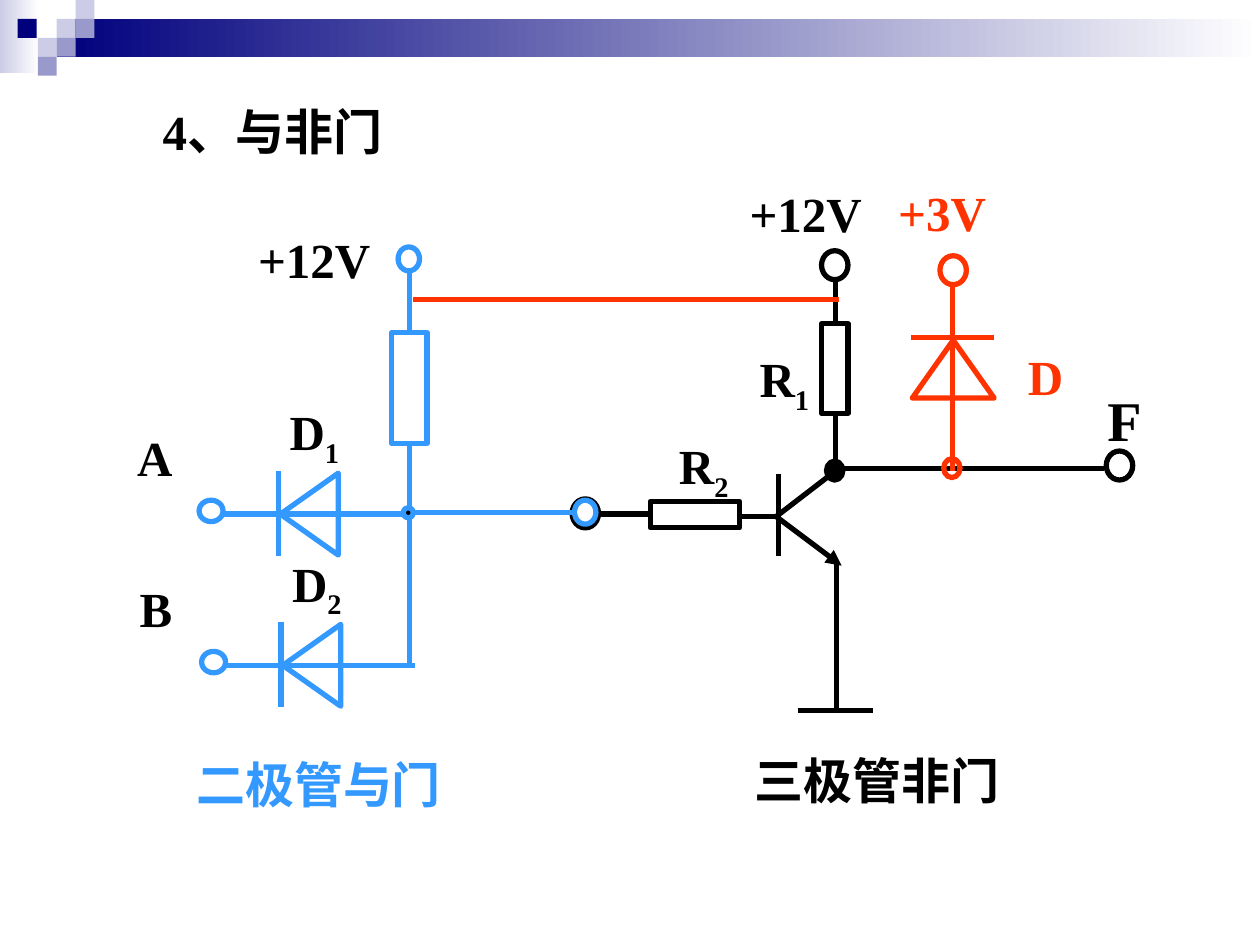
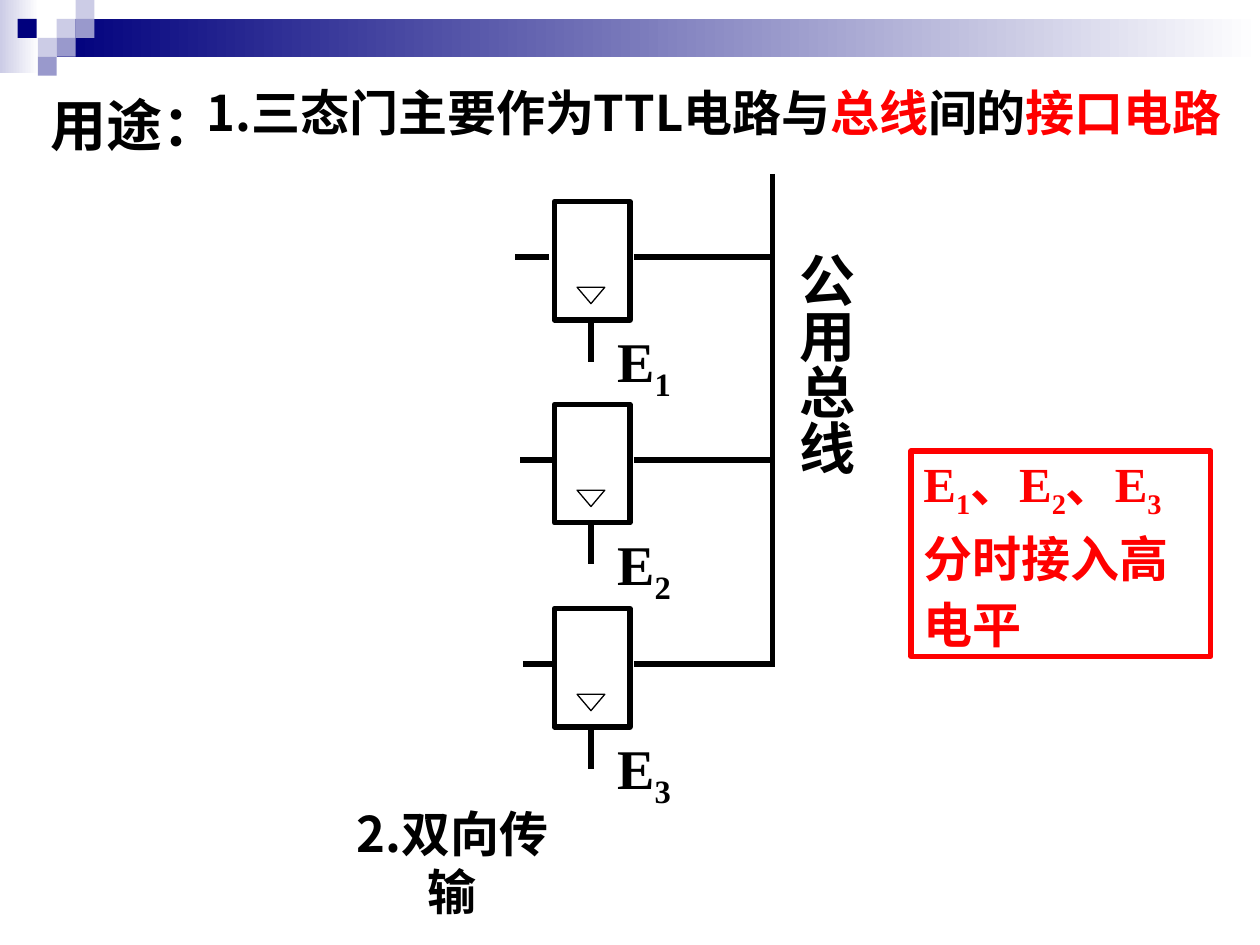
from lxml import etree
from pptx import Presentation
from pptx.dml.color import RGBColor
from pptx.enum.shapes import MSO_CONNECTOR, MSO_SHAPE
from pptx.enum.text import MSO_ANCHOR, MSO_AUTO_SIZE, PP_ALIGN
from pptx.oxml.ns import qn
from pptx.util import Inches, Pt

RECT, OVAL, TRIANGLE = MSO_SHAPE.RECTANGLE, MSO_SHAPE.OVAL, MSO_SHAPE.ISOSCELES_TRIANGLE
STRAIGHT = MSO_CONNECTOR.STRAIGHT
LEFT, CENTER = PP_ALIGN.LEFT, PP_ALIGN.CENTER
TOP, MIDDLE = MSO_ANCHOR.TOP, MSO_ANCHOR.MIDDLE
NO_AUTOFIT = MSO_AUTO_SIZE.NONE

BLACK, WHITE = RGBColor(0, 0, 0), RGBColor(255, 255, 255)
NAVY, LILAC, PALE = RGBColor(0, 0, 0x7D), RGBColor(0x99, 0x99, 0xCC), RGBColor(0xCC, 0xCC, 0xE6)
BLUE, ORANGE, RED = RGBColor(0x33, 0x99, 0xFF), RGBColor(0xFF, 0x33, 0), RGBColor(255, 0, 0)
SERIF, SANS = "Times New Roman", "Noto Sans CJK SC"

# Shared band: gradients (box, first colour) and mosaic squares (left, top, colour)
BAND_GRADIENTS = [((0, 0, 0.31, 0.58), PALE), ((0.45, 0.15, 9.55, 0.3), NAVY)]
SQUARE = 0.15
BAND_SQUARES = [
    (0.45, 0.15, PALE), (0.6, 0, PALE), (0.6, 0.15, LILAC), (0.3, 0.3, PALE),
    (0.14, 0.15, NAVY), (0.45, 0.3, LILAC), (0.3, 0.45, LILAC),
]

# Slide 1: NAND circuit. An underscore makes the next character a subscript.
NAND_TITLE = "4、与非门"
NAND_LABELS = [  # text, box, colour, size
    ("R_1", (5.93, 2.72, 0.65, 0.63), BLACK, 28),
    ("D", (8.06, 2.7, 0.52, 0.57), ORANGE, 28),
    ("R_2", (5.29, 3.41, 0.65, 0.63), BLACK, 28),
    ("F", (8.69, 3.01, 0.66, 0.64), BLACK, 32),
    ("+12V", (5.85, 1.41, 1.25, 0.57), BLACK, 28),
    ("+3V", (7.03, 1.4, 1.25, 0.57), ORANGE, 28),
    ("+12V", (1.95, 1.77, 1.44, 0.57), BLACK, 28),
]
CIRCUIT_NAMES = [
    ("二极管与门", (1.46, 5.89, 2.63, 0.57), BLUE),
    ("三极管非门", (5.89, 5.86, 2.67, 0.57), BLACK),
]
TRANSISTOR_WIRES = [
    (6.18, 3.76, 6.18, 4.41), (6.16, 4.1, 6.68, 3.7), (6.16, 4.1, 5.87, 4.1),
    (6.62, 3.72, 8.76, 3.72), (6.64, 4.46, 6.64, 5.64), (6.33, 5.64, 6.93, 5.64),
    (5.15, 4.08, 4.75, 4.08), (6.63, 3.28, 6.63, 3.72), (6.63, 2.57, 6.63, 2.22),
]
EMITTER = (6.16, 4.1, 6.68, 4.49)
TRANSISTOR_TERMINALS = [(4.54, 3.96), (8.78, 3.58), (6.52, 1.99)]
TRANSISTOR_RESISTORS = [(6.52, 2.57, 0.21, 0.71), (5.16, 3.98, 0.71, 0.21)]
CLAMP_WIRES = [(7.89, 2.68, 7.23, 2.68), (7.56, 2.24, 7.56, 3.74)]
CLAMP_RINGS = [(7.49, 3.64, 0.13, 0.15), (7.46, 2.03, 0.21, 0.23)]
SUPPLY_LINK = (3.28, 2.38, 6.66, 2.38)
INPUT_DIODES = [("D_1", "A", 1.58, 4.08), ("D_2", "B", 1.6, 5.28)]  # names, left, wire height
AND_WIRES = [(3.22, 4.07, 4.58, 4.07), (3.25, 5.29, 3.25, 3.52), (3.25, 2.66, 3.25, 2.14)]
AND_RINGS = [(3.16, 1.96, 0.17, 0.19), (4.56, 3.97, 0.17, 0.19)]

# Slide 2: three-state gates on a bus
USE_TITLE = "用途："
USE_RUNS = [("1.三态门主要作为TTL电路与", BLACK), ("总线", RED), ("间的", BLACK), ("接口电路", RED)]
SECOND_USE = "2.双向传输"
ENABLE_NOTE = "E_1、E_2、E_3分时接入高电平"
BUS_NAME = "公用总线"
BUS = (6.13, 1.38, 6.13, 5.29)
GATES = [("E_1", 1.6, 4.09), ("E_2", 3.21, 4.13), ("E_3", 4.83, 4.15)]  # name, top, input start


def place(shape, box):
    shape.left, shape.top, shape.width, shape.height = map(Inches, box)


def write(shape, runs, size=28, color=BLACK, font=SERIF, align=LEFT, anchor=TOP,
          pitch=None, inset_top=0.05, inset_side=0.1):
    """Fill a shape with text; runs is a string or a list of (text, colour)."""
    frame = shape.text_frame
    frame.word_wrap, frame.auto_size, frame.vertical_anchor = True, NO_AUTOFIT, anchor
    frame.margin_left = frame.margin_right = Inches(inset_side)
    frame.margin_top, frame.margin_bottom = Inches(inset_top), Inches(0.05)
    paragraph = frame.paragraphs[0]
    paragraph.alignment, paragraph.space_before = align, Pt(0)
    if pitch:
        paragraph.line_spacing = Pt(pitch)
    for text, run_color in ([(runs, color)] if isinstance(runs, str) else runs):
        first, *rest = text.split("_")
        pieces = [(first, False)]
        for part in rest:
            pieces += [(part[0], True), (part[1:], False)]
        for piece, lowered in pieces:
            if not piece:
                continue
            run = paragraph.add_run()
            run.text = piece
            run.font.size, run.font.bold, run.font.name = Pt(size), True, font
            run.font.color.rgb = run_color
            properties = run.font._element
            etree.SubElement(properties, qn("a:ea")).set("typeface", SANS)
            if lowered:
                properties.set("baseline", "-25000")


def label(slide, box, runs, **fmt):
    textbox = slide.shapes.add_textbox(*map(Inches, box))
    write(textbox, runs, **fmt)
    return textbox


def draw(slide, kind, box, line=BLACK, fill=None, width=3, rotation=0):
    shape = slide.shapes.add_shape(kind, *map(Inches, box))
    shape.shadow.inherit = False
    shape.rotation = rotation
    if fill is None:
        shape.fill.background()
    else:
        shape.fill.solid()
        shape.fill.fore_color.rgb = fill
    if line is None:
        shape.line.fill.background()
    else:
        shape.line.color.rgb, shape.line.width = line, Pt(width)
    return shape


def wire(slide, ends, color=BLACK, arrow=False):
    connector = slide.shapes.add_connector(STRAIGHT, *map(Inches, ends))
    connector.line.color.rgb, connector.line.width = color, Pt(3)
    properties = connector.element.spPr
    etree.SubElement(properties, qn("a:effectLst"))
    if arrow:
        etree.SubElement(properties.find(qn("a:ln")), qn("a:tailEnd")).set("type", "triangle")


def add_band(slide):
    for box, start in BAND_GRADIENTS:
        fill = draw(slide, RECT, box, line=None).fill
        fill.gradient()
        fill.gradient_angle = 0
        for stop, color in zip(fill.gradient_stops, (start, WHITE)):
            stop.color.rgb = color
    for left, top, color in BAND_SQUARES:
        draw(slide, RECT, (left, top, SQUARE, SQUARE), line=None, fill=color)


def new_slide(prs, layout, title, box, **fmt):
    slide = prs.slides.add_slide(prs.slide_layouts[layout])
    add_band(slide)
    place(slide.shapes.title, box)
    write(slide.shapes.title, title, inset_top=0.09, **fmt)
    return slide


def build_nand(prs):
    slide = new_slide(prs, 5, NAND_TITLE, (1.19, 0.71, 4.04, 0.57), pitch=34)

    # Transistor inverter
    for ends in TRANSISTOR_WIRES:
        wire(slide, ends)
    wire(slide, EMITTER, arrow=True)
    draw(slide, OVAL, (6.56, 3.66, 0.13, 0.15), fill=BLACK)
    for left, top in TRANSISTOR_TERMINALS:
        draw(slide, OVAL, (left, top, 0.21, 0.23))
    for box in TRANSISTOR_RESISTORS:
        draw(slide, RECT, box)

    # Clamp diode
    draw(slide, TRIANGLE, (7.24, 2.7, 0.65, 0.46), ORANGE)
    for ends in CLAMP_WIRES:
        wire(slide, ends, ORANGE)
    for box in CLAMP_RINGS:
        draw(slide, OVAL, box, ORANGE)

    # Diode AND gate
    for diode, terminal, left, y in INPUT_DIODES:
        wire(slide, (left + 0.63, y - 0.34, left + 0.63, y + 0.33), BLUE)
        draw(slide, TRIANGLE, (left + 0.55, y - 0.23, 0.65, 0.46), BLUE, rotation=270)
        wire(slide, (left + 0.19, y, left + 1.69, y), BLUE)
        draw(slide, OVAL, (left, y - 0.11, 0.19, 0.17), BLUE)
        label(slide, (left + 0.62, y - 0.94, 0.69, 0.63), diode)
        label(slide, (left - 0.59, y - 0.74, 0.6, 0.57), terminal)
    for ends in AND_WIRES:
        wire(slide, ends, BLUE)
    draw(slide, RECT, (3.11, 2.64, 0.28, 0.88), BLUE)
    for box in AND_RINGS:
        draw(slide, OVAL, box, BLUE)
    draw(slide, OVAL, (3.2, 4.03, 0.08, 0.08), BLUE, fill=BLACK)

    # Supply link and labels
    wire(slide, SUPPLY_LINK, ORANGE)
    for text, box, color, size in NAND_LABELS:
        label(slide, box, text, color=color, size=size)
    for text, box, color in CIRCUIT_NAMES:
        label(slide, box, text, color=color, pitch=34, inset_top=0.09)


def build_bus(prs):
    slide = new_slide(prs, 1, USE_TITLE, (0.3, 0.62, 1.21, 0.64), size=32, pitch=39)

    # Uses
    use = slide.placeholders[1]
    place(use, (1.54, 0.56, 8.4, 1.04))
    level = use.text_frame.paragraphs[0]._p.get_or_add_pPr()
    level.set("marL", "0")
    level.set("indent", "0")
    etree.SubElement(level, qn("a:buNone"))
    write(use, USE_RUNS, font=SANS, pitch=33, inset_top=0.1)
    label(slide, (2.5, 6.53, 2.18, 0.57), SECOND_USE, font=SANS, align=CENTER,
          anchor=MIDDLE, pitch=33, inset_top=0.11, inset_side=0.15)

    # Gates
    for name, top, start in GATES:
        draw(slide, RECT, (4.4, top, 0.6, 0.94))
        draw(slide, TRIANGLE, (4.58, top + 0.68, 0.22, 0.13), fill=WHITE, width=0.75, rotation=180)
        wire(slide, (start, top + 0.44, start + 0.27, top + 0.44))
        wire(slide, (5.03, top + 0.44, 6.15, top + 0.44))
        wire(slide, (4.69, top + 0.94, 4.69, top + 1.27))
        label(slide, (4.8, top + 0.94, 0.69, 0.71), name, size=32)

    # Bus and enable note
    wire(slide, BUS)
    bus_label = label(slide, (6.15, 1.9, 0.73, 2.08), BUS_NAME, size=32, pitch=39,
                      inset_top=0.1, inset_side=0.05)
    bus_label.element.txBody.bodyPr.set("vert", "eaVert")
    note = draw(slide, RECT, (7.23, 3.58, 2.38, 1.63), RED)
    write(note, ENABLE_NOTE, color=RED, anchor=MIDDLE, pitch=38)


def main():
    prs = Presentation()
    prs.slide_width, prs.slide_height = Inches(10), Inches(7.5)
    build_nand(prs)
    build_bus(prs)
    prs.save("out.pptx")


if __name__ == "__main__":
    main()
